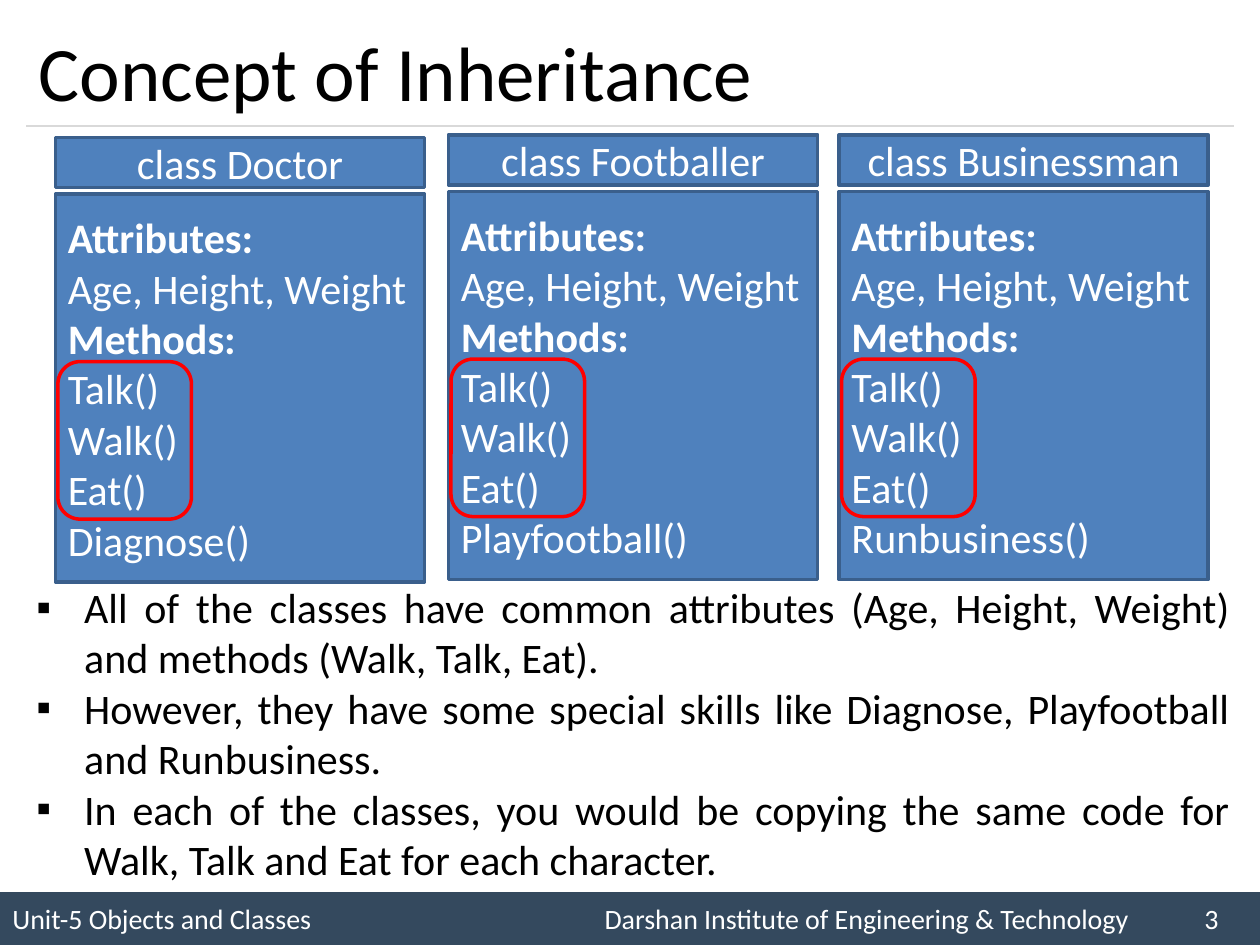
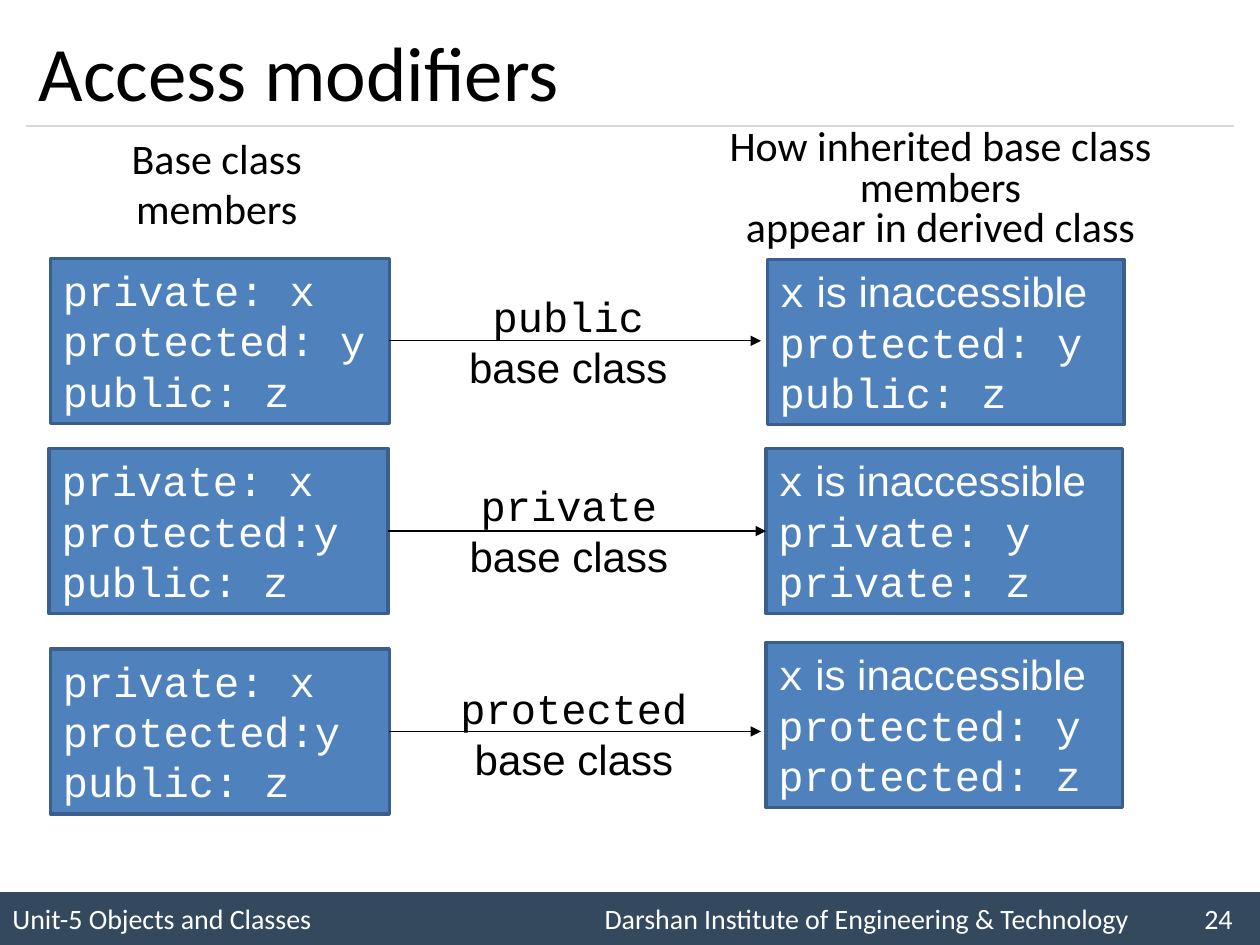
from lxml import etree
from pptx import Presentation
from pptx.dml.color import RGBColor
from pptx.enum import shapes, text
from pptx.oxml import ns
from pptx.util import Inches, Pt

BLACK = RGBColor(0x00, 0x00, 0x00)
WHITE = RGBColor(0xFF, 0xFF, 0xFF)
OFF_WHITE = RGBColor(0xFD, 0xFD, 0xFD)
BLUE = RGBColor(0x4F, 0x81, 0xBD)
BLUE_EDGE = RGBColor(0x3A, 0x5F, 0x8C)
NAVY = RGBColor(0x34, 0x49, 0x5E)
GREY = RGBColor(0xD9, 0xD9, 0xD9)
RED = RGBColor(0xFF, 0x00, 0x00)

SANS, CODE, PLAIN = "Calibri", "Courier New", "Arial"
LEFT, CENTER, JUSTIFY = text.PP_ALIGN.LEFT, text.PP_ALIGN.CENTER, text.PP_ALIGN.JUSTIFY
TOP, MIDDLE = text.MSO_ANCHOR.TOP, text.MSO_ANCHOR.MIDDLE

CLASS_COLUMNS = [
    (0.44, 1.09, "Doctor", "Diagnose()"),
    (3.56, 1.07, "Footballer", "Playfootball()"),
    (6.66, 1.07, "Businessman", "Runbusiness()"),
]
CLASS_NOTES = [
    "All of the classes have common attributes (Age, Height, Weight) and methods (Walk, Talk, Eat).",
    "However, they have some special skills like Diagnose, Playfootball and Runbusiness.",
    "In each of the classes, you would be copying the same code for Walk, Talk and Eat for each character.",
]
# modifier, base box, derived box, label box, base member y, inherited members
ACCESS_ROWS = [
    ("public", (0.4, 2.05, 2.69, 1.31), (6.09, 2.06, 2.83, 1.31), (3.55, 2.26, 1.92, 0.91),
     "protected: y", ["protected: y", "public: z"]),
    ("private", (0.39, 3.56, 2.69, 1.31), (6.08, 3.56, 2.83, 1.31), (3.28, 3.76, 2.47, 0.91),
     "protected:y", ["private: y", "private: z"]),
    ("protected", (0.4, 5.15, 2.69, 1.31), (6.08, 5.1, 2.83, 1.31), (3.55, 5.37, 2.01, 0.91),
     "protected:y", ["protected: y", "protected: z"]),
]


def add_element(parent, tag, **attributes):
    values = {name: str(value) for name, value in attributes.items()}
    return etree.SubElement(parent, ns.qn(tag), values)


def write_text(shape, paragraphs, size=24, font=SANS, color=BLACK, align=LEFT,
               anchor=TOP, line_spacing=None, bullet=None, tabs=()):
    """Fill a shape; a paragraph is a string or a list of (text, font changes)."""
    frame = shape.text_frame
    frame.word_wrap = True
    frame.vertical_anchor = anchor
    for index, content in enumerate(paragraphs):
        para = frame.paragraphs[0] if index == 0 else frame.add_paragraph()
        para.alignment = align
        if line_spacing:
            para.line_spacing = line_spacing
        properties = para._p.get_or_add_pPr()
        if bullet:
            properties.set("marL", str(Inches(0.38)))
            properties.set("indent", str(-Inches(0.38)))
            add_element(properties, "a:buFont", typeface=PLAIN)
            add_element(properties, "a:buChar", char=bullet)
        if tabs:
            tab_list = add_element(properties, "a:tabLst")
            for position in tabs:
                add_element(tab_list, "a:tab", pos=Inches(position), algn="l")
        spans = [(content, {})] if isinstance(content, str) else content
        for words, changes in spans:
            span = para.add_run()
            span.text = words
            span.font.size = Pt(size)
            span.font.name = changes.get("font", font)
            span.font.bold = changes.get("bold", False)
            span.font.color.rgb = color


def add_text(page, box, paragraphs, **text_format):
    area = page.shapes.add_textbox(*map(Inches, box))
    write_text(area, paragraphs, **text_format)


def add_box(page, box, fill=BLUE, edge=BLUE_EDGE, kind=shapes.MSO_SHAPE.RECTANGLE):
    shape = page.shapes.add_shape(kind, *map(Inches, box))
    shape.shadow.inherit = False
    if fill is None:
        shape.fill.background()
    else:
        shape.fill.solid()
        shape.fill.fore_color.rgb = fill
    if edge is None:
        shape.line.fill.background()
    else:
        shape.line.color.rgb = edge
        shape.line.width = Pt(2)
    return shape


def add_line(page, start, end, color=BLACK, arrow=False):
    line = page.shapes.add_connector(
        shapes.MSO_CONNECTOR.STRAIGHT, *map(Inches, (*start, *end)))
    line.line.color.rgb = color
    line.line.width = Pt(0.75)
    if arrow:
        add_element(line.line._get_or_add_ln(), "a:tailEnd", type="triangle")
    add_element(line._element.spPr, "a:effectLst")
    return line


def add_page(deck, title, number):
    """Add a page with the footer band, title rule and title."""
    page = deck.slides.add_slide(deck.slide_layouts[6])
    band = add_box(page, (0, 7.08, 10, 0.42), fill=NAVY, edge=None)
    footer = f"Unit-5 Objects and Classes\tDarshan Institute of Engineering & Technology\t{number}"
    write_text(band, [footer], size=16, color=WHITE, anchor=MIDDLE, tabs=(4.7, 9.46))
    add_line(page, (0.21, 1), (9.79, 1), GREY)
    add_text(page, (0.21, 0.12, 9.58, 0.88), [title], size=44, anchor=MIDDLE)
    return page


def add_class_column(page, left, top, name, skill):
    """Draw one class with its members and a ring around the shared methods."""
    width = 2.93
    bold = {"bold": True}
    members = [[("Attributes:", bold)], "Age, Height, Weight", [("Methods:", bold)],
               "Talk()", "Walk()", "Eat()", skill]
    body = add_box(page, (left, top + 0.45, width, 3.08))
    write_text(body, members, color=WHITE, anchor=MIDDLE)
    header = add_box(page, (left, top, width, 0.4))
    write_text(header, [f"class {name}"], color=WHITE, align=CENTER, anchor=MIDDLE)
    add_box(page, (left + 0.02, top + 1.78, 1.06, 1.25), fill=None, edge=RED,
            kind=shapes.MSO_SHAPE.ROUNDED_RECTANGLE)


def add_access_row(page, modifier, base_box, derived_box, label_box, base_y, inherited):
    """Draw base members, an arrow with its label, and the inherited members."""
    plain = {"font": PLAIN}
    base = add_box(page, base_box)
    write_text(base, ["private: x", base_y, "public: z"], font=CODE, color=OFF_WHITE)
    derived = add_box(page, derived_box)
    write_text(derived, [[("x", {}), (" is inaccessible", plain)], *inherited],
               font=CODE, color=OFF_WHITE)

    left, top, width, height = base_box
    middle = top + height / 2
    arrow = add_line(page, (left + width, middle), (6.04, middle), arrow=True)
    arrow.begin_connect(base, 3)
    if derived_box[1] == top:
        arrow.end_connect(derived, 1)
    add_text(page, label_box, [modifier, [("base class", plain)]], font=CODE, align=CENTER)


def build_inheritance_page(deck):
    page = add_page(deck, "Concept of Inheritance", 3)
    for column in CLASS_COLUMNS:
        add_class_column(page, *column)
    add_text(page, (0.19, 4.63, 9.67, 2.37), CLASS_NOTES,
             align=JUSTIFY, anchor=MIDDLE, bullet="▪")


def build_access_page(deck):
    page = add_page(deck, "Access modifiers", 24)
    add_text(page, (0.48, 1, 2.48, 0.91), ["Base class members"], align=CENTER)
    add_text(page, (5.56, 0.98, 3.81, 1.07),
             ["How inherited base class members", "appear in derived class"],
             align=CENTER, line_spacing=0.8)
    for row in ACCESS_ROWS:
        add_access_row(page, *row)


def main():
    deck = Presentation()
    deck.slide_width, deck.slide_height = Inches(10), Inches(7.5)
    build_inheritance_page(deck)
    build_access_page(deck)
    deck.save("out.pptx")


if __name__ == "__main__":
    main()
